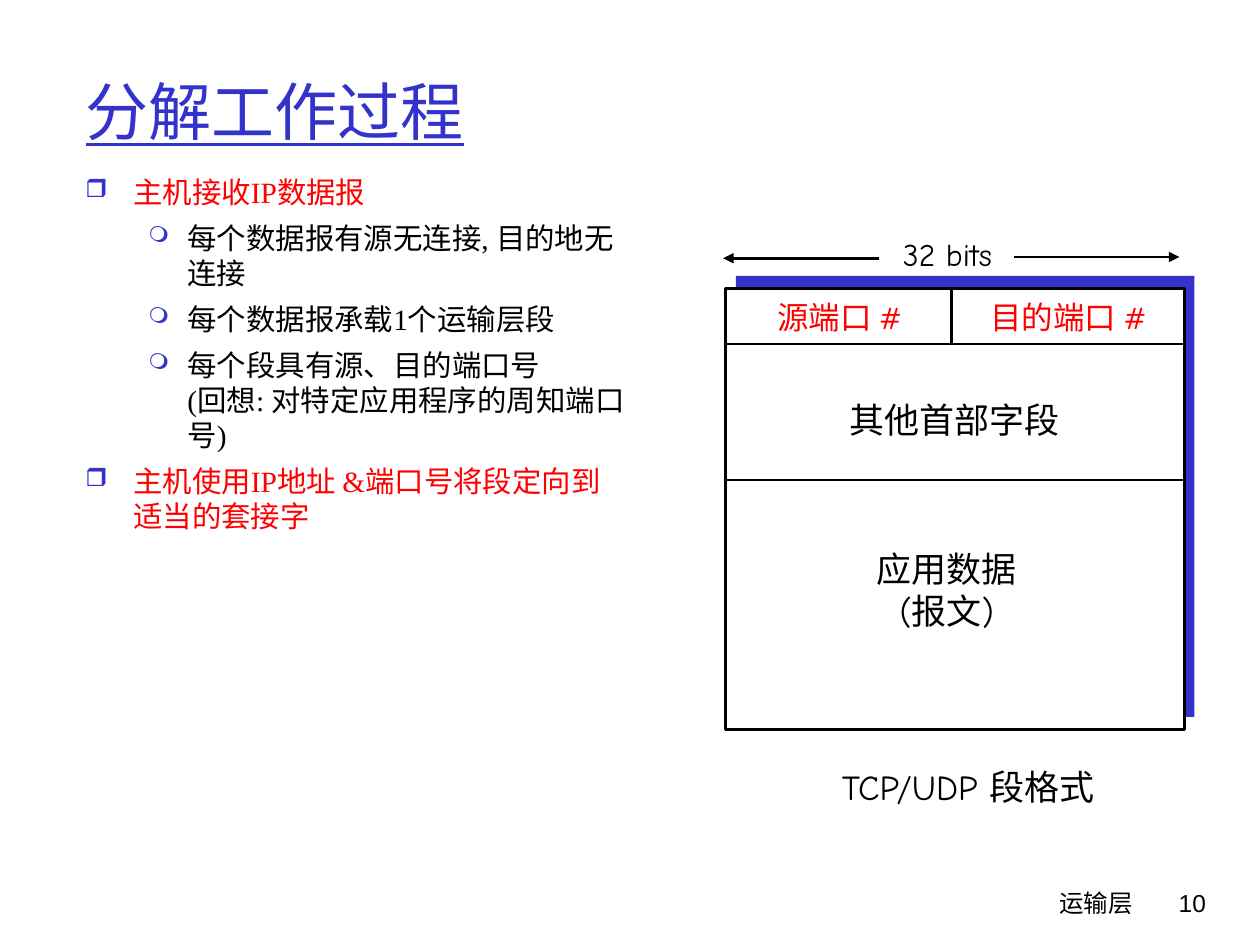
from lxml import etree
from pptx import Presentation
from pptx.dml.color import RGBColor
from pptx.enum.shapes import MSO_CONNECTOR, MSO_SHAPE
from pptx.enum.text import MSO_ANCHOR, MSO_AUTO_SIZE, PP_ALIGN
from pptx.oxml.ns import qn
from pptx.util import Inches, Pt

LEFT, CENTER, RIGHT = PP_ALIGN.LEFT, PP_ALIGN.CENTER, PP_ALIGN.RIGHT
MIDDLE = MSO_ANCHOR.MIDDLE
NO_FIT, GROW = MSO_AUTO_SIZE.NONE, MSO_AUTO_SIZE.SHAPE_TO_FIT_TEXT
RECT, STRAIGHT = MSO_SHAPE.RECTANGLE, MSO_CONNECTOR.STRAIGHT
BLUE, RED, BLACK, WHITE = "3333CC", "FF0000", "000000", "FFFFFF"
SERIF, COMIC, SANS = "Times New Roman", "Comic Neue", "Arial"

# Content
TITLE = "分解工作过程"
POINTS = [  # level, text
    (0, "主机接收IP数据报"),
    (1, "每个数据报有源无连接, 目的地无连接"),
    (1, "每个数据报承载1个运输层段"),
    (1, "每个段具有源、目的端口号 \n(回想: 对特定应用程序的周知端口号)"),
    (0, "主机使用IP地址 &端口号将段定向到适当的套接字"),
]
LEVELS = [  # bullet, bullet size %, text indent, hanging indent, colour
    ("❒", 85, 0.38, 0.38, RED),
    ("❍", 75, 0.81, 0.31, BLACK),
]
LABELS = [  # text, left, top, width, height, size, colour
    ("源端口 #", 6.04, 2.32, 1.25, 0.4, 18, RED),
    ("目的端口 #", 7.73, 2.32, 1.5, 0.4, 18, RED),
    ("32 bits", 7.02, 1.82, 1, 0.4, 18, BLACK),
    ("应用数据\n(报文)", 6.86, 4.3, 1.31, 0.77, 20, BLACK),
    ("其他首部字段", 6.64, 3.11, 1.87, 0.44, 20, BLACK),
    ("TCP/UDP 段格式", 6.53, 6.03, 2.31, 0.44, 20, BLACK),
]
FOOTER = [  # text, left, width, font
    ("运输层", 5.92, 3.17, COMIC),
    ("10", 8.93, 0.74, SANS),
]

# Segment frame
X, Y, W, H = 5.76, 2.29, 3.64, 3.5
PORTS, HEADER, SPLIT = 2.73, 3.81, 7.55
LINES = [  # x1, y1, x2, y2, arrow
    (X, PORTS, X + W, PORTS, False),
    (X, HEADER, X + W, HEADER, False),
    (SPLIT, PORTS, SPLIT, Y, False),
    (8.05, 2.04, 9.36, 2.04, True),
    (6.98, 2.05, 5.74, 2.05, True),
]

prs = Presentation()
prs.slide_width, prs.slide_height = Inches(10), Inches(7.5)
slide = prs.slides.add_slide(prs.slide_layouts[5])
shapes = slide.shapes


def rgb(code):
    return RGBColor.from_string(code)


def style(para, font, size, color, align=LEFT):
    para.alignment = align
    for run in para.runs:
        run.font.name = font
        run.font.size = Pt(size)
        run.font.color.rgb = rgb(color)


def text_box(left, top, width, height, wrap=True):
    box = shapes.add_textbox(*map(Inches, (left, top, width, height)))
    box.text_frame.word_wrap = wrap
    box.text_frame.auto_size = NO_FIT if wrap else GROW
    return box.text_frame


def block(left, top, fill, edge=None):
    rect = shapes.add_shape(RECT, *map(Inches, (left, top, W, H)))
    rect.shadow.inherit = False
    rect.fill.solid()
    rect.fill.fore_color.rgb = rgb(fill)
    if edge:
        rect.line.color.rgb = rgb(edge)
        rect.line.width = Pt(1.5)
    else:
        rect.line.fill.background()


def line(x1, y1, x2, y2, arrow):
    link = shapes.add_connector(STRAIGHT, *map(Inches, (x1, y1, x2, y2)))
    link.line.color.rgb = rgb(BLACK)
    link.line.width = Pt(1.5)
    props = link._element.spPr
    if arrow:
        etree.SubElement(props.find(qn("a:ln")), qn("a:tailEnd"), type="triangle")
    etree.SubElement(props, qn("a:effectLst"))


def bullet(para, mark, percent, indent, hang):
    props = para._p.get_or_add_pPr()
    props.set("marL", str(Inches(indent)))
    props.set("indent", str(-Inches(hang)))
    color = etree.SubElement(props, qn("a:buClr"))
    etree.SubElement(color, qn("a:srgbClr"), val=BLUE)
    etree.SubElement(props, qn("a:buSzPct"), val=str(percent * 1000))
    etree.SubElement(props, qn("a:buChar"), char=mark)


# Title
title = shapes.title
title.left, title.top = Inches(0.58), Inches(0.25)
title.width, title.height = Inches(8.5), Inches(1.25)
frame = title.text_frame
frame.text = TITLE
frame.vertical_anchor = MIDDLE
frame.auto_size = NO_FIT
style(frame.paragraphs[0], SERIF, 36, BLUE)
frame.paragraphs[0].runs[0].font.underline = True

# Bullet points
frame = text_box(0.58, 1.33, 4.5, 3.05)
for i, (level, text) in enumerate(POINTS):
    para = frame.add_paragraph() if i else frame.paragraphs[0]
    mark, percent, indent, hang, color = LEVELS[level]
    para.text = text
    para.level = level
    bullet(para, mark, percent, indent, hang)
    para.space_before = Pt(6 if i else 0)
    style(para, SERIF, 16.8, color)

# Segment diagram
block(X + 0.08, Y - 0.1, BLUE)
block(X, Y, WHITE, BLACK)
for ends in LINES:
    line(*ends)
for text, left, top, width, height, size, color in LABELS:
    frame = text_box(left, top, width, height, wrap=False)
    frame.text = text
    for para in frame.paragraphs:
        style(para, COMIC, size, color, CENTER)

# Footer
for text, left, width, font in FOOTER:
    frame = text_box(left, 7, width, 0.5)
    frame.text = text
    style(frame.paragraphs[0], font, 14, BLACK, RIGHT)

prs.save("out.pptx")
